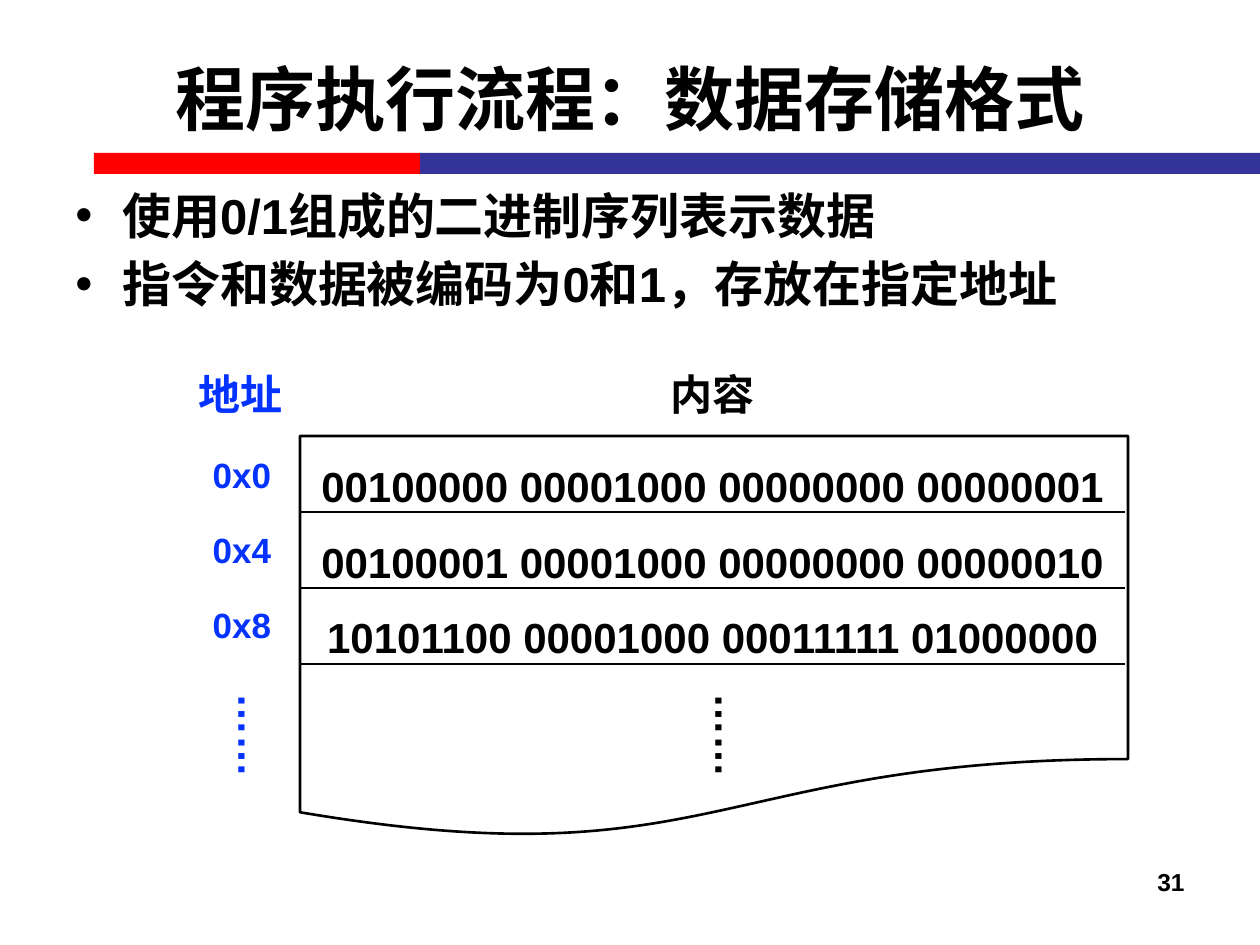
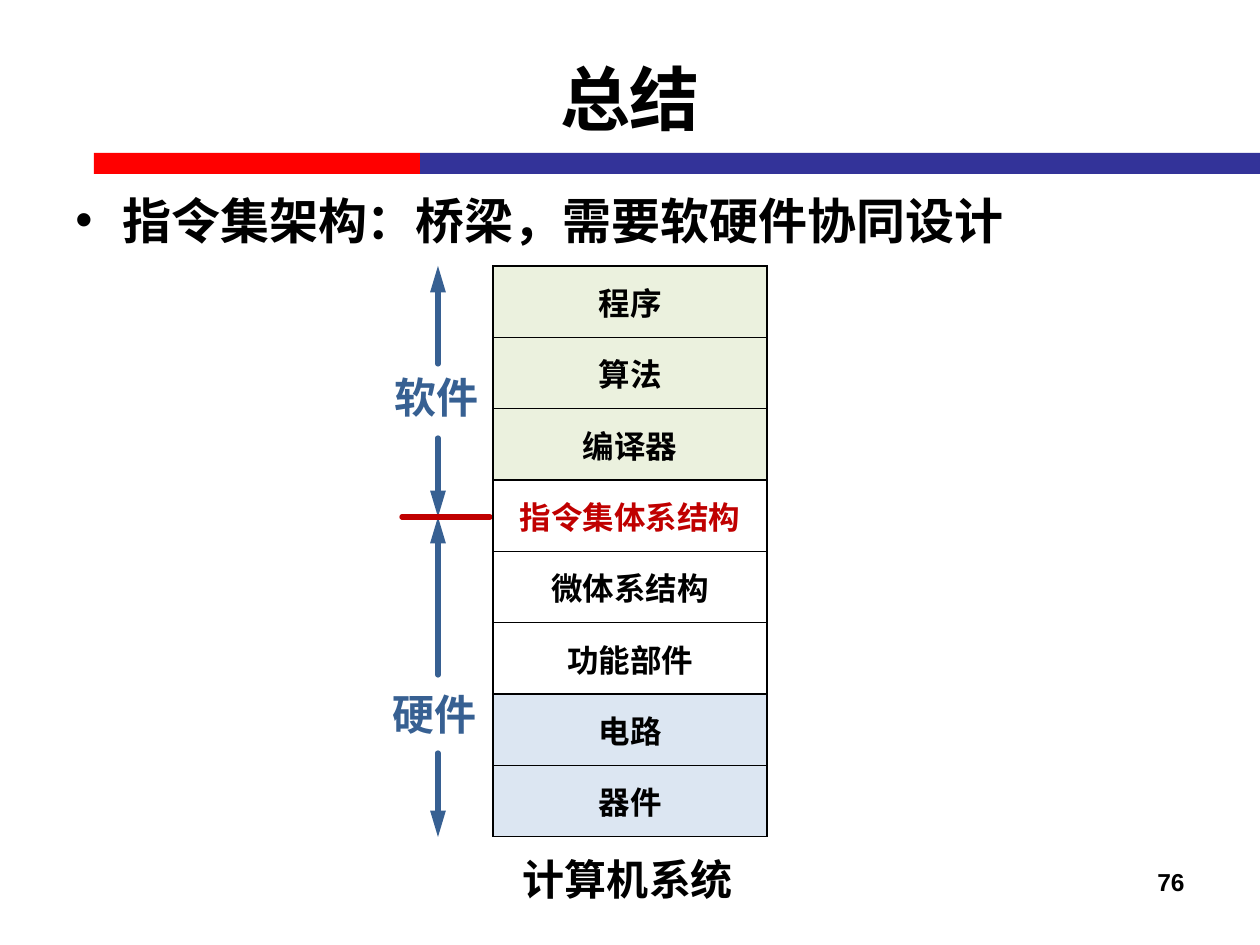
from lxml import etree
from pptx import Presentation
from pptx import util as u
from pptx.dml.color import RGBColor
from pptx.enum import shapes, text
from pptx.oxml import ns

# Content
STORAGE = {
    "title": "程序执行流程：数据存储格式",
    "bullets": ["使用0/1组成的二进制序列表示数据",
                "指令和数据被编码为0和1，存放在指定地址"],
    "bullet_top": 179,
    "number": "31",
}
MEMORY = [
    ("0x0", "00100000 00001000 00000000 00000001"),
    ("0x4", "00100001 00001000 00000000 00000010"),
    ("0x8", "10101100 00001000 00011111 01000000"),
]
SUMMARY = {
    "title": "总结",
    "bullets": ["指令集架构：桥梁，需要软硬件协同设计"],
    "bullet_top": 184,
    "number": "76",
}

# Look: lengths in px, 126 to the inch
PX = 914400 / 126
FONT = "Arial"
BLACK, WHITE, RED, INDIGO = "000000", "FFFFFF", "FF0000", "333399"
ADDRESS_BLUE, STEEL, DARK_RED = "0432FF", "376092", "C00000"
GREEN_TINT, BLUE_TINT = "EBF1DE", "DCE6F2"
CENTER, LEFT, RIGHT = text.PP_ALIGN.CENTER, text.PP_ALIGN.LEFT, text.PP_ALIGN.RIGHT
MIDDLE, TOP = text.MSO_ANCHOR.MIDDLE, text.MSO_ANCHOR.TOP

LAYERS = [
    ("程序", GREEN_TINT, BLACK), ("算法", GREEN_TINT, BLACK),
    ("编译器", GREEN_TINT, BLACK), ("指令集体系结构", WHITE, DARK_RED),
    ("微体系结构", WHITE, BLACK), ("功能部件", WHITE, BLACK),
    ("电路", BLUE_TINT, BLACK), ("器件", BLUE_TINT, BLACK),
]


def px(*lengths):
    return [u.Emu(round(length * PX)) for length in lengths]


def rgb(color):
    return RGBColor.from_string(color)


def add_xml(parent, tag, **attributes):
    return etree.SubElement(parent, ns.qn(tag), attributes)


def style(paragraph, size, color=BLACK, align=CENTER):
    paragraph.alignment = align
    for run in paragraph.runs:
        font = run.font
        font.name, font.size, font.bold = FONT, u.Pt(size), True
        font.color.rgb = rgb(color)


def add_text(slide, box, lines, size, color=BLACK, align=CENTER, anchor=TOP, wrap=True):
    shape = slide.shapes.add_textbox(*px(*box))
    frame = shape.text_frame
    frame.text = "\n".join(lines)
    frame.word_wrap = wrap
    frame.vertical_anchor = anchor
    for paragraph in frame.paragraphs:
        style(paragraph, size, color, align)
    return shape


def add_label(slide, center_x, top, label, size=24, color=BLACK, width=112):
    height = 63 if size == 24 else 55
    return add_text(slide, (center_x - width // 2, top, width, height),
                    [label], size, color, wrap=False)


def add_line(slide, start, end, color=BLACK, width=1.5, arrow=False, rounded=False):
    line = slide.shapes.add_connector(shapes.MSO_CONNECTOR.STRAIGHT, *px(*start, *end))
    line.line.color.rgb = rgb(color)
    line.line.width = u.Pt(width)
    outline = line.line._get_or_add_ln()
    if rounded:
        outline.set("cap", "rnd")
    if arrow:
        add_xml(outline, "a:tailEnd", type="triangle", w="med", len="lg")
    add_xml(line._element.spPr, "a:effectLst")


def add_frame(presentation, content):
    """Bands, title, bullets and page number shared by the slides."""
    slide = presentation.slides.add_slide(presentation.slide_layouts[6])
    for left, right, color in [(94, 420, RED), (420, 1260, INDIGO)]:
        band = slide.shapes.add_shape(shapes.MSO_SHAPE.RECTANGLE,
                                      *px(left, 153, right - left, 21))
        band.shadow.inherit = False
        band.fill.solid()
        band.fill.fore_color.rgb = rgb(color)
        band.line.fill.background()
    add_text(slide, (63, 18, 1134, 158), [content["title"]], 40, anchor=MIDDLE)
    body = add_text(slide, (63, content["bullet_top"], 1134, 624),
                    content["bullets"], 28, align=LEFT)
    for index, paragraph in enumerate(body.text_frame.paragraphs):
        properties = paragraph._p.get_or_add_pPr()
        indent = px(47)[0]
        properties.set("marL", str(indent))
        properties.set("indent", str(-indent))
        add_xml(properties, "a:buFont", typeface=FONT)
        add_xml(properties, "a:buChar", char="•")
        if index:
            paragraph.space_before = u.Pt(5.6)
    add_text(slide, (903, 861, 294, 66), [content["number"]], 14, align=RIGHT)
    return slide


def add_storage_slide(presentation):
    slide = add_frame(presentation, STORAGE)
    left, right, top, pitch = 300, 1125, 436, 76
    address_x, content_x, dots_shift = 241, 713, 14

    # Memory words and their page outline
    words = add_text(slide, (left, 429, right - left, 470),
                     [word for _, word in MEMORY], 24)
    for paragraph in words.text_frame.paragraphs:
        paragraph.line_spacing = 1.5
    page = slide.shapes.add_shape(shapes.MSO_SHAPE.FLOWCHART_DOCUMENT,
                                  *px(left, top, 828, 403))
    page.shadow.inherit = False
    page.fill.background()
    page.line.color.rgb = rgb(BLACK)
    page.line.width = u.Pt(1.5)

    # Row rules and addresses
    for row, (address, _) in enumerate(MEMORY):
        rule_y = top + pitch * (row + 1)
        add_line(slide, (left, rule_y), (right, rule_y))
        add_label(slide, address_x + 1, 447 + 75 * row, address, 20, ADDRESS_BLUE)

    # Column heads and continuation dots
    for center_x, dots_x, head, color in [(address_x, address_x, "地址", ADDRESS_BLUE),
                                          (content_x, 718, "内容", BLACK)]:
        add_label(slide, center_x, 362, head, color=color)
        dots = add_label(slide, dots_x + dots_shift, 704, "……", color=color)
        dots.rotation = 90


def add_summary_slide(presentation):
    slide = add_frame(presentation, SUMMARY)
    left, top, width, height = 493, 266, 274, 571
    arrow_x, border_y, bottom = 438, 517, top + height

    # Software and hardware spans
    for start, end in [(364, top), (438, border_y), (675, border_y), (753, bottom)]:
        add_line(slide, (arrow_x, start), (arrow_x, end), STEEL, 3,
                 arrow=True, rounded=True)
    add_line(slide, (402, border_y), (left - 3, border_y), DARK_RED, 3, rounded=True)
    add_label(slide, 437, 365, "软件", color=STEEL)
    add_label(slide, 435, 682, "硬件", color=STEEL)

    # Layer stack
    table = slide.shapes.add_table(len(LAYERS), 1, *px(left, top, width, height)).table
    table.first_row = table.horz_banding = False
    for row, (layer, fill, color) in enumerate(LAYERS):
        cell = table.cell(row, 0)
        cell.text_frame.text = layer
        cell.vertical_anchor = MIDDLE
        style(cell.text_frame.paragraphs[0], 18, color)
        properties = cell._tc.get_or_add_tcPr()
        for side in ("a:lnL", "a:lnR", "a:lnT", "a:lnB"):
            border = add_xml(properties, side, w=str(u.Pt(1)))
            add_xml(add_xml(border, "a:solidFill"), "a:srgbClr", val=BLACK)
        cell.fill.solid()
        cell.fill.fore_color.rgb = rgb(fill)
    add_label(slide, 628, 847, "计算机系统", width=260)


def main():
    presentation = Presentation()
    presentation.slide_width, presentation.slide_height = px(1260, 945)
    add_storage_slide(presentation)
    add_summary_slide(presentation)
    presentation.save("out.pptx")


if __name__ == "__main__":
    main()
